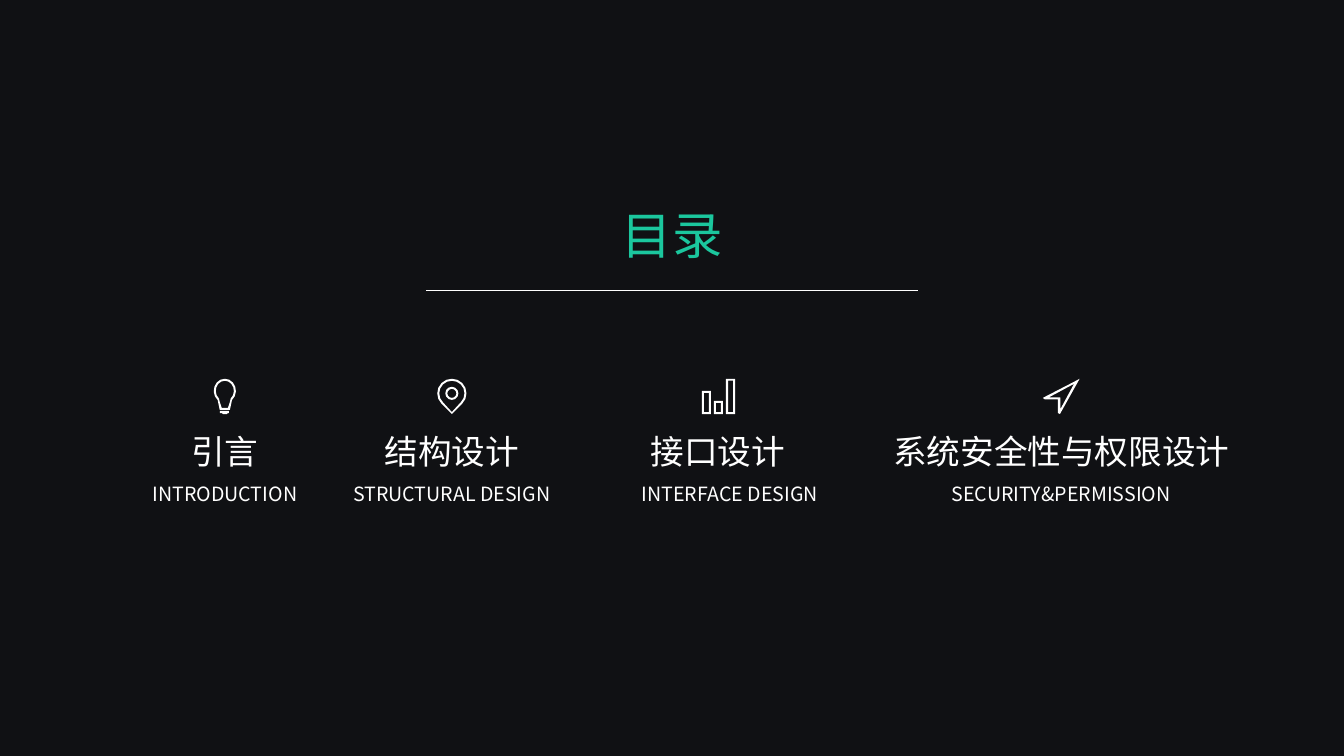
from dataclasses import dataclass
from math import cos, radians, sin

from lxml import etree
from pptx import Presentation
from pptx.dml.color import RGBColor
from pptx.enum.shapes import MSO_CONNECTOR, MSO_SHAPE
from pptx.enum.text import MSO_AUTO_SIZE, PP_ALIGN
from pptx.oxml.ns import qn
from pptx.slide import Slide
from pptx.util import Inches, Pt

Point = tuple[float, float]
Outline = list[Point]

STRAIGHT = MSO_CONNECTOR.STRAIGHT
RECTANGLE = MSO_SHAPE.RECTANGLE
GROW = MSO_AUTO_SIZE.SHAPE_TO_FIT_TEXT
CENTER = PP_ALIGN.CENTER

SLATE = RGBColor(0x32, 0x36, 0x3F)
BLACK = RGBColor(0x00, 0x00, 0x00)
WHITE = RGBColor(0xFF, 0xFF, 0xFF)
GREEN = RGBColor(0x1B, 0xC7, 0x9E)
FONT = "Noto Sans CJK SC"

PAGE_WIDTH = Inches(13.33)
PAGE_HEIGHT = Inches(7.5)
ICON_UNIT = Inches(0.01)
FINENESS = 100
ARC_STEPS = 12

ICON_TOP = 50.1
HEADING_TOP = 56.4
CAPTION_TOP = 63.07
VEIL_OPACITY = 67


@dataclass(frozen=True)
class Label:
    text: str
    center: float
    top: float
    width: float
    height: float
    size: int
    color: RGBColor = WHITE
    side_inset: float = 0


@dataclass(frozen=True)
class Icon:
    width: float
    outlines: list[Outline]


@dataclass(frozen=True)
class Chapter:
    heading: str
    caption: str
    icon: Icon
    center: float
    caption_center: float
    heading_width: float = 13.95
    caption_width: float = 18.6


def across(percent: float) -> int:
    return round(PAGE_WIDTH * percent / 100)


def down(percent: float) -> int:
    return round(PAGE_HEIGHT * percent / 100)


def arc(center: Point, radius_x: float, radius_y: float, start: float, end: float) -> Outline:
    angles = [radians(start + (end - start) * step / ARC_STEPS) for step in range(ARC_STEPS + 1)]
    return [
        (center[0] + radius_x * cos(angle), center[1] + radius_y * sin(angle))
        for angle in angles
    ]


def rectangle(left: float, top: float, right: float, bottom: float) -> Outline:
    return [(left, top), (right, top), (right, bottom), (left, bottom)]


def bulb_icon() -> Icon:
    middle = (11, 12)
    glass = arc(middle, 11, 12, 130, 410) + [(17.5, 24), (16, 31), (6, 31), (4.5, 24)]
    hollow = arc(middle, 9, 10, 130, 410) + [(16, 23), (14, 29), (8, 29), (6, 23)]
    base = [(6, 32), (15, 32), (15, 34), (14, 34), (13, 35), (9, 35), (8, 34), (6, 34)]
    return Icon(22, [glass, hollow, base])


def pin_icon() -> Icon:
    middle = (14.5, 14.5)
    drops = [
        arc(middle, radius, radius, 135, 405) + [(14.5, tip)]
        for radius, tip in ((14.5, 35), (12.5, 33))
    ]
    rings = [arc(middle, radius, radius, 0, 360)[:-1] for radius in (6.5, 4.5)]
    return Icon(29, drops + rings)


def bars_icon() -> Icon:
    bar_width, step, bottom, wall = 9, 12, 35, 2
    outlines = []
    for index, top in enumerate((12, 22, 0)):
        left = index * step
        for inset in (0, wall):
            outlines.append(
                rectangle(left + inset, top + inset, left + bar_width - inset, bottom - inset)
            )
    return Icon(32, outlines)


def arrow_icon() -> Icon:
    wing = [(36.5, 0), (17, 35), (15, 34), (15, 20.5), (2, 20.5), (0, 19), (31, 3)]
    hollow = [(31, 5), (6, 18.5), (17, 18.5), (17.5, 19), (17.5, 30)]
    return Icon(36.5, [wing, hollow])


CHAPTERS = [
    Chapter("引言", "INTRODUCTION", bulb_icon(), 16.73, 16.73),
    Chapter("结构设计", "STRUCTURAL DESIGN", pin_icon(), 33.62, 33.62, caption_width=21.98),
    Chapter("接口设计", "INTERFACE DESIGN", bars_icon(), 53.42, 54.3),
    Chapter("系统安全性与权限设计", "SECURITY&PERMISSION", arrow_icon(), 78.96, 78.96, 25.73),
]


def draw_veil(page: Slide) -> None:
    veil = page.shapes.add_shape(RECTANGLE, 0, 0, PAGE_WIDTH, PAGE_HEIGHT)
    veil.shadow.inherit = False
    veil.line.fill.background()
    veil.fill.solid()
    veil.fill.fore_color.rgb = BLACK
    color = veil._element.spPr.find(qn("a:solidFill")).find(qn("a:srgbClr"))
    etree.SubElement(color, qn("a:alpha")).set("val", str(VEIL_OPACITY * 1000))


def draw_label(page: Slide, label: Label) -> None:
    box = page.shapes.add_textbox(
        across(label.center - label.width / 2),
        down(label.top),
        across(label.width),
        down(label.height),
    )
    frame = box.text_frame
    frame.word_wrap = True
    frame.auto_size = GROW
    frame.margin_left = frame.margin_right = across(label.side_inset)
    frame.text = label.text
    para = frame.paragraphs[0]
    para.alignment = CENTER
    span = para.runs[0]
    span.font.size = Pt(label.size)
    span.font.color.rgb = label.color
    span.font.name = FONT
    east_asian = etree.SubElement(span._r.get_or_add_rPr(), qn("a:ea"))
    east_asian.set("typeface", FONT)


def draw_icon(page: Slide, icon: Icon, center: float) -> None:
    outlines = [
        [(x * FINENESS, y * FINENESS) for x, y in outline] for outline in icon.outlines
    ]
    builder = page.shapes.build_freeform(*outlines[0][0], scale=ICON_UNIT / FINENESS)
    for index, outline in enumerate(outlines):
        if index:
            builder.move_to(*outline[0])
        builder.add_line_segments(outline[1:], close=True)
    left = across(center) - round(icon.width * ICON_UNIT / 2)
    shape = builder.convert_to_shape(left, down(ICON_TOP))
    shape.shadow.inherit = False
    shape.fill.solid()
    shape.fill.fore_color.rgb = WHITE
    shape.line.fill.background()


def draw_rule(page: Slide, start: float, end: float, top: float) -> None:
    rule = page.shapes.add_connector(STRAIGHT, across(start), down(top), across(end), down(top))
    rule.line.color.rgb = WHITE
    rule.line.width = Pt(0.5)
    etree.SubElement(rule._element.spPr, qn("a:effectLst"))


def draw_chapter(page: Slide, chapter: Chapter) -> None:
    heading = (chapter.heading, chapter.center, HEADING_TOP, chapter.heading_width, 6.67, 24)
    caption = (chapter.caption, chapter.caption_center, CAPTION_TOP, chapter.caption_width, 4.53, 14)
    draw_icon(page, chapter.icon, chapter.center)
    for values in (heading, caption):
        draw_label(page, Label(*values))


def main() -> None:
    deck = Presentation()
    deck.slide_width, deck.slide_height = PAGE_WIDTH, PAGE_HEIGHT
    page = deck.slides.add_slide(deck.slide_layouts[6])
    page.background.fill.solid()
    page.background.fill.fore_color.rgb = SLATE
    draw_veil(page)
    draw_label(page, Label("目录", 50.02, 26.4, 29.93, 9.47, 36, GREEN, 0.75))
    draw_rule(page, 31.7, 68.3, 38.4)
    for chapter in CHAPTERS:
        draw_chapter(page, chapter)
    deck.save("out.pptx")


if __name__ == "__main__":
    main()
